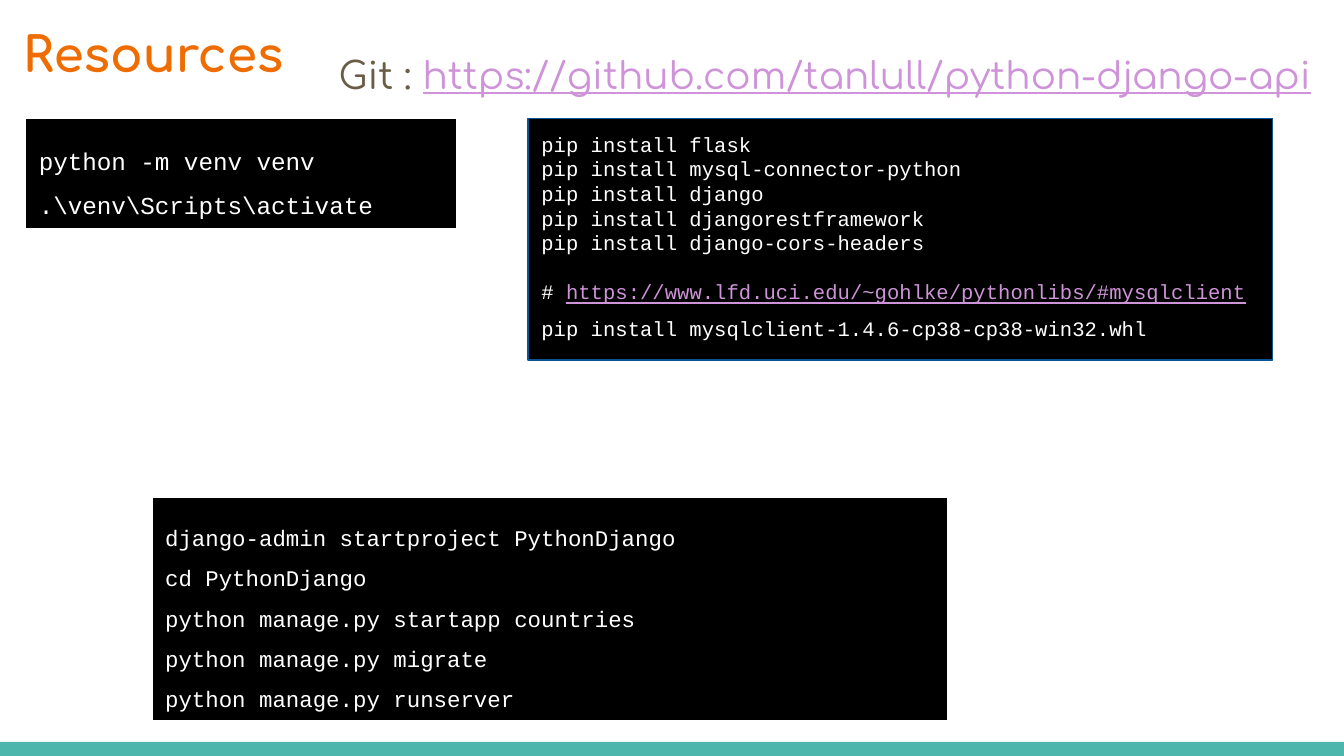
from dataclasses import dataclass

from lxml.etree import SubElement
from pptx import Presentation
from pptx.dml.color import RGBColor
from pptx.enum.shapes import MSO_SHAPE as Shape
from pptx.enum.text import MSO_ANCHOR as Anchor, MSO_AUTO_SIZE as AutoSize, PP_ALIGN as Align
from pptx.oxml.ns import qn
from pptx.util import Inches, Pt

HEADING_FONT, CODE_FONT = "Comfortaa", "Courier New"
WHITE, BLACK, TEAL, ORANGE = "FFFFFF", "000000", "4DB6AC", "EF6C00"
BROWN, LINK, BLUE = "695D46", "CE93D8", "0B5394"


@dataclass
class Line:
    text: str
    link: str = ""
    spacing: float = 1.0
    before: float = 0


@dataclass
class CodeBox:
    bounds: tuple[float, float, float, float]
    size: int
    border: str
    lines: list[Line]


def color(value: str) -> RGBColor:
    return RGBColor.from_string(value)


def place(shape, bounds: tuple[float, float, float, float]) -> None:
    shape.left, shape.top, shape.width, shape.height = map(Inches, bounds)


def prepare_frame(shape):
    frame = shape.text_frame
    frame.word_wrap = True
    frame.auto_size = AutoSize.NONE
    frame.vertical_anchor = Anchor.TOP
    frame.margin_left = frame.margin_right = Inches(0.1)
    frame.margin_top = frame.margin_bottom = Inches(0.1)
    return frame


def write_line(paragraph, line: Line, font: str, size: int, text_color: str) -> None:
    paragraph.alignment = Align.LEFT
    paragraph.line_spacing = line.spacing
    paragraph.space_before = Pt(line.before)
    paragraph.font.name = font
    paragraph.font.size = Pt(size)
    paragraph.font.color.rgb = color(text_color)
    paragraph.add_run().text = line.text
    if line.link:
        run = paragraph.add_run()
        run.text = line.link
        run.font.color.rgb = color(LINK)
        run.font.underline = True


def add_box(slide, bounds: tuple[float, float, float, float], fill: str, border: str = ""):
    shape = slide.shapes.add_shape(Shape.RECTANGLE, *map(Inches, bounds))
    shape.shadow.inherit = False
    shape.fill.solid()
    shape.fill.fore_color.rgb = color(fill)
    if border:
        shape.line.color.rgb = color(border)
        shape.line.width = Pt(0.75)
    else:
        shape.line.fill.background()
    return shape


def add_code_box(slide, box: CodeBox) -> None:
    frame = prepare_frame(add_box(slide, box.bounds, BLACK, box.border))
    for index, line in enumerate(box.lines):
        paragraph = frame.add_paragraph() if index else frame.paragraphs[0]
        write_line(paragraph, line, CODE_FONT, box.size, WHITE)


def spaced(*commands: str) -> list[Line]:
    return [Line(command, spacing=1.5) for command in commands]


PACKAGES = ["flask", "mysql-connector-python", "django", "djangorestframework",
            "django-cors-headers"]

CODE_BOXES = [
    CodeBox((0.19, 0.88, 3.21, 0.82), 13, WHITE,
            spaced("python -m venv venv", r".\venv\Scripts\activate")),
    CodeBox((3.93, 0.88, 5.54, 1.8), 11, BLUE, [
        *[Line(f"pip install {package}") for package in PACKAGES],
        Line("# ", "https://www.lfd.uci.edu/~gohlke/pythonlibs/#mysqlclient", before=13),
        *spaced("pip install mysqlclient-1.4.6-cp38-cp38-win32.whl"),
    ]),
    CodeBox((1.13, 3.7, 5.92, 1.66), 12, WHITE,
            spaced("django-admin startproject PythonDjango", "cd PythonDjango",
                   "python manage.py startapp countries", "python manage.py migrate",
                   "python manage.py runserver")),
]


def main() -> None:
    # Widescreen page, 16:9
    presentation = Presentation()
    presentation.slide_width = Inches(10)
    presentation.slide_height = Inches(10 * 9 / 16)
    slide = presentation.slides.add_slide(presentation.slide_layouts[1])

    # Footer band
    add_box(slide, (0, 5.52, 10, 0.11), TEAL)

    # Title
    title = slide.shapes.title
    place(title, (0.07, 0.08, 8.75, 0.54))
    heading = prepare_frame(title).paragraphs[0]
    write_line(heading, Line("Resources"), HEADING_FONT, 26, ORANGE)
    heading.font.bold = True

    # Repository address, without a bullet
    body = slide.placeholders[1]
    place(body, (2.42, 0.12, 7.75, 0.69))
    paragraph = prepare_frame(body).paragraphs[0]
    properties = paragraph._p.get_or_add_pPr()
    properties.set("marL", "0")
    properties.set("indent", "0")
    SubElement(properties, qn("a:buNone"))
    repository = Line("Git : ", "https://github.com/tanlull/python-django-api", 1.5)
    write_line(paragraph, repository, HEADING_FONT, 20, BROWN)
    paragraph.space_after = Pt(16)

    # Command blocks
    for box in CODE_BOXES:
        add_code_box(slide, box)

    presentation.save("out.pptx")


if __name__ == "__main__":
    main()
